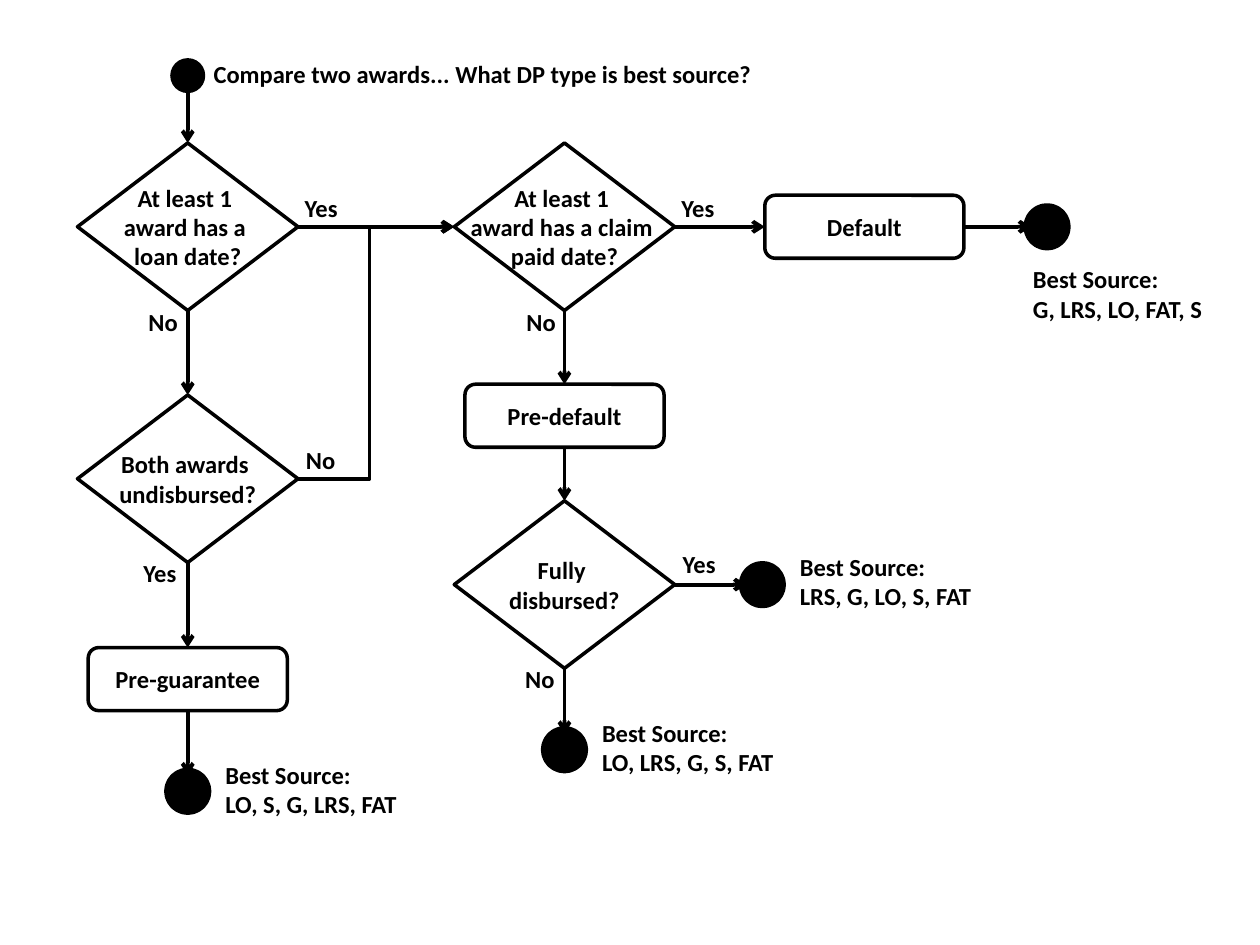
from dataclasses import dataclass
from typing import Any

import pptx
import pptx.dml.color
import pptx.enum.shapes
import pptx.enum.text
import pptx.oxml
import pptx.oxml.ns
import pptx.util

Inches = pptx.util.Inches
Pt = pptx.util.Pt
Preset = pptx.enum.shapes.MSO_SHAPE
Bend = pptx.enum.shapes.MSO_CONNECTOR
Align = pptx.enum.text.PP_ALIGN
Anchor = pptx.enum.text.MSO_ANCHOR


@dataclass(frozen=True)
class Theme:
    """Colours, font and line weights of the chart."""
    ink: Any = pptx.dml.color.RGBColor(0, 0, 0)
    paper: Any = pptx.dml.color.RGBColor(255, 255, 255)
    font: str = "Calibri"
    size: int = 14
    outline: float = 2
    end_outline: float = 9
    arrow: float = 2.25


@dataclass(frozen=True)
class Kind:
    """A family of nodes sharing one form and size."""
    preset: Any
    width: float
    height: float
    outline: float = 2
    solid: bool = False
    wrap: bool = True


@dataclass(frozen=True)
class Node:
    """A step of the flow, placed by its centre."""
    kind: Kind
    x: float
    y: float
    text: str = ""


@dataclass(frozen=True)
class Flow:
    """An arrow from a side of one node to a side of another."""
    start: str
    start_side: int
    end: str
    end_side: int
    bend: float = 0


@dataclass(frozen=True)
class Label:
    """Free text placed by its top left corner."""
    x: float
    y: float
    text: str
    width: float = 0.5
    height: float = 0.34


THEME = Theme()
TOP, LEFT, BOTTOM, RIGHT = range(4)
LOAN_X, CLAIM_X = 1.49, 4.48
FIRST_ROW, DISBURSED_ROW = 1.8, 4.64

START = Kind(Preset.FLOWCHART_CONNECTOR, 0.25, 0.25, THEME.outline, solid=True)
END = Kind(Preset.FLOWCHART_CONNECTOR, 0.25, 0.25, THEME.end_outline, solid=True)
DECISION = Kind(Preset.FLOWCHART_DECISION, 1.75, 1.33, THEME.outline, wrap=False)
STATE = Kind(Preset.ROUNDED_RECTANGLE, 1.58, 0.5, THEME.outline)

NODES = {
    "start": Node(START, LOAN_X, 0.6),
    "loan": Node(DECISION, LOAN_X, FIRST_ROW, "At least 1 \naward has a \nloan date?"),
    "undisbursed": Node(DECISION, LOAN_X, 3.8, "Both awards \nundisbursed?"),
    "pre-guarantee": Node(STATE, LOAN_X, 5.39, "Pre-guarantee"),
    "guarantee end": Node(END, LOAN_X, 6.28),
    "claim": Node(DECISION, CLAIM_X, FIRST_ROW, "At least 1 \naward has a claim \npaid date?"),
    "pre-default": Node(STATE, CLAIM_X, 3.3, "Pre-default"),
    "disbursed": Node(DECISION, CLAIM_X, DISBURSED_ROW, "Fully \ndisbursed?"),
    "partial end": Node(END, CLAIM_X, 5.95),
    "full end": Node(END, 6.05, DISBURSED_ROW),
    "default": Node(STATE, 6.86, FIRST_ROW, "Default"),
    "default end": Node(END, 8.31, FIRST_ROW),
}

FLOWS = [
    Flow("start", BOTTOM, "loan", TOP),
    Flow("loan", BOTTOM, "undisbursed", TOP),
    Flow("undisbursed", BOTTOM, "pre-guarantee", TOP),
    Flow("pre-guarantee", BOTTOM, "guarantee end", TOP),
    Flow("loan", RIGHT, "claim", LEFT),
    Flow("undisbursed", RIGHT, "claim", LEFT, bend=0.458),
    Flow("claim", BOTTOM, "pre-default", TOP),
    Flow("pre-default", BOTTOM, "disbursed", TOP),
    Flow("disbursed", BOTTOM, "partial end", TOP),
    Flow("disbursed", RIGHT, "full end", LEFT),
    Flow("claim", RIGHT, "default", LEFT),
    Flow("default", RIGHT, "default end", LEFT),
]

ANSWERS = [
    Label(2.32, 1.48, "Yes"), Label(1.08, 2.39, "No"),
    Label(2.33, 3.48, "No"), Label(1.04, 4.38, "Yes"),
    Label(5.31, 1.48, "Yes"), Label(4.08, 2.39, "No"),
    Label(5.32, 4.31, "Yes"), Label(4.07, 5.22, "No"),
]
SOURCES = [
    Label(x, y, f"Best Source: \n{order}", 1.73, 0.57)
    for x, y, order in [
        (1.69, 5.98, "LO, S, G, LRS, FAT"), (4.68, 5.65, "LO, LRS, G, S, FAT"),
        (6.25, 4.33, "LRS, G, LO, S, FAT"), (8.1, 2.05, "G, LRS, LO, FAT, S"),
    ]
]


def write(frame: Any, text: str, align: Any, anchor: Any, wrap: bool = True) -> None:
    """Fill a text frame in the chart's type style."""
    frame.text = text
    frame.word_wrap = wrap
    frame.vertical_anchor = anchor
    for paragraph in frame.paragraphs:
        paragraph.alignment = align
        for run in paragraph.runs:
            run.font.name = THEME.font
            run.font.size = Pt(THEME.size)
            run.font.bold = True
            run.font.color.rgb = THEME.ink


def draw_node(slide: Any, node: Node) -> Any:
    """Draw a node centred on its position."""
    kind = node.kind
    step = slide.shapes.add_shape(
        kind.preset, Inches(node.x - kind.width / 2), Inches(node.y - kind.height / 2),
        Inches(kind.width), Inches(kind.height))
    step.shadow.inherit = False
    step.fill.solid()
    step.fill.fore_color.rgb = THEME.ink if kind.solid else THEME.paper
    step.line.color.rgb = THEME.ink
    step.line.width = Pt(kind.outline)
    if node.text:
        write(step.text_frame, node.text, Align.CENTER, Anchor.MIDDLE, kind.wrap)
    return step


def draw_flow(slide: Any, flow: Flow, steps: dict[str, Any]) -> None:
    """Draw an arrow glued to the two nodes it joins."""
    route = Bend.ELBOW if flow.bend else Bend.STRAIGHT
    arrow = slide.shapes.add_connector(route, 0, 0, 0, 0)
    arrow.begin_connect(steps[flow.start], flow.start_side)
    arrow.end_connect(steps[flow.end], flow.end_side)
    qn = pptx.oxml.ns.qn
    if flow.end_side == LEFT and NODES[flow.end].kind is END:
        # A circle has eight connection sites, so its left one is number 2.
        arrow.element.find(".//" + qn("a:endCxn")).set("idx", "2")
    if NODES[flow.start].kind is START:
        # The bottom site of a circle is number 4.
        arrow.element.find(".//" + qn("a:stCxn")).set("idx", "4")
    arrow.line.color.rgb = THEME.ink
    arrow.line.width = Pt(THEME.arrow)
    space = pptx.oxml.ns.nsdecls("a")
    arrow.line._get_or_add_ln().append(pptx.oxml.parse_xml(f'<a:tailEnd {space} type="arrow"/>'))
    arrow.element.spPr.append(pptx.oxml.parse_xml(f"<a:effectLst {space}/>"))
    if flow.bend:
        guides = arrow.element.spPr.find(qn("a:prstGeom")).get_or_add_avLst()
        guides.append(pptx.oxml.parse_xml(
            f'<a:gd {space} name="adj1" fmla="val {round(flow.bend * 100000)}"/>'))


def draw_label(slide: Any, label: Label) -> None:
    """Draw a label in a text box."""
    box = slide.shapes.add_textbox(
        Inches(label.x), Inches(label.y), Inches(label.width), Inches(label.height))
    write(box.text_frame, label.text, Align.LEFT, Anchor.TOP)


def main() -> None:
    """Build the flow chart and save it."""
    deck = pptx.Presentation()
    deck.slide_width, deck.slide_height = Inches(10), Inches(7.5)
    slide = deck.slides.add_slide(deck.slide_layouts[5])
    question = slide.shapes.title
    question.left, question.top = Inches(1.33), Inches(0.42)
    question.width, question.height = Inches(5), Inches(0.34)
    write(question.text_frame, "Compare two awards... What DP type is best source?",
          Align.CENTER, Anchor.TOP)
    question.text_frame.auto_size = pptx.enum.text.MSO_AUTO_SIZE.NONE
    steps = {key: draw_node(slide, node) for key, node in NODES.items()}
    for flow in FLOWS:
        draw_flow(slide, flow, steps)
    for label in ANSWERS + SOURCES:
        draw_label(slide, label)
    deck.save("out.pptx")


main()
